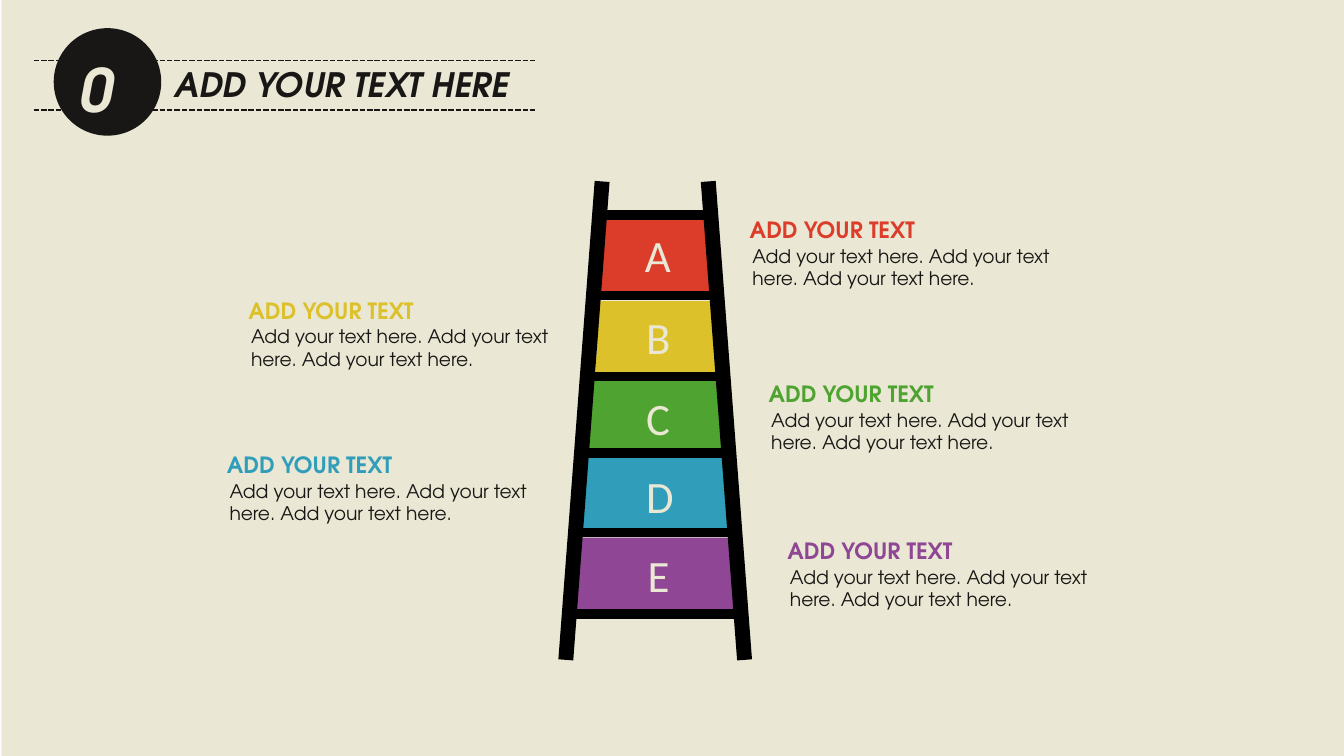
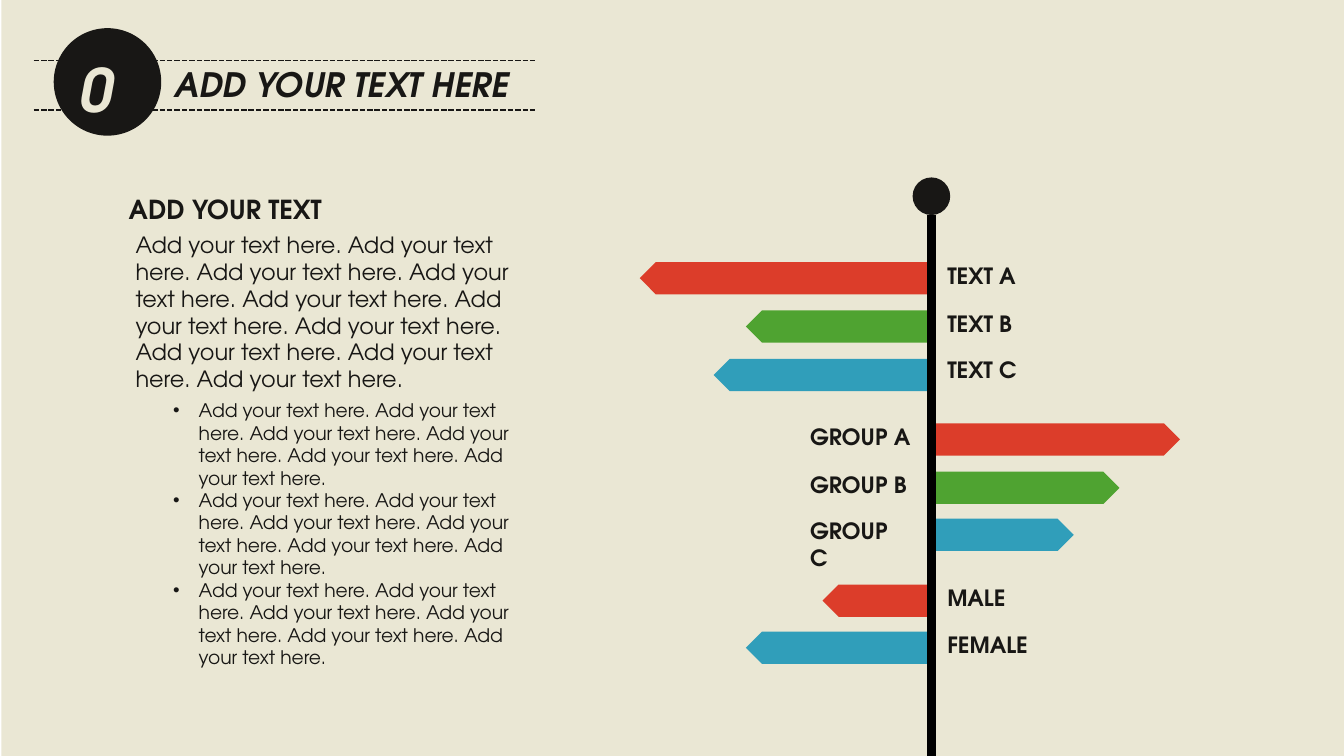
"""Build two infographic slides: a lettered ladder and a signpost of bars."""
from lxml.etree import SubElement
from pptx import Presentation
from pptx.dml.color import RGBColor
from pptx.enum.dml import MSO_LINE
from pptx.enum.shapes import MSO_CONNECTOR, MSO_SHAPE
from pptx.enum.text import MSO_ANCHOR, MSO_AUTO_SIZE, PP_ALIGN
from pptx.oxml.ns import qn
from pptx.util import Inches, Pt

WIDTH = 10
HEIGHT = WIDTH * 9 / 16
SENTENCE = "Add your text here."
HEADING = "ADD YOUR TEXT"

THEME = {
    "colors": {
        "paper": "EAE7D4", "ink": "181715", "black": "000000",
        "red": "DC3D2A", "yellow": "DCC12A", "green": "4FA331",
        "blue": "309EBA", "purple": "8F4695",
    },
    "styles": {
        "number": {"name": "TeX Gyre Adventor", "size": Pt(32), "bold": True, "italic": True},
        "title": {"name": "TeX Gyre Adventor", "size": Pt(18), "bold": True, "italic": True},
        "section": {"name": "TeX Gyre Adventor", "size": Pt(14), "bold": True},
        "label": {"name": "TeX Gyre Adventor", "size": Pt(12), "bold": True},
        "lead": {"name": "TeX Gyre Adventor", "size": Pt(12)},
        "body": {"name": "TeX Gyre Adventor", "size": Pt(10)},
        "letter": {"name": "Calibri", "size": Pt(24)},
    },
    "lines": {"rule": 1, "rung": 5, "rail": 8},
}

TITLE = {"number": "01", "text": "ADD YOUR TEXT HERE"}

# letter, colour, panel (bottom left, bottom right, top, bottom), letter place, heading place
STEPS = [
    ("A", "red", (4.44, 5.31, 1.63, 2.21), (4.7, 1.73), (5.48, 1.56)),
    ("B", "yellow", (4.43, 5.35, 2.24, 2.78), (4.71, 2.34), (1.75, 2.16)),
    ("C", "green", (4.38, 5.41, 2.82, 3.35), (4.71, 2.94), (5.62, 2.78)),
    ("D", "blue", (4.33, 5.42, 3.41, 3.94), (4.71, 3.52), (1.59, 3.31)),
    ("E", "purple", (4.29, 5.46, 4, 4.54), (4.72, 4.11), (5.76, 3.95)),
]
PANEL_SLANT = 0.03
RAILS = [(4.48, 4.21), (5.27, 5.54)]
RAIL_TOP, RAIL_BOTTOM = 1.35, 4.91
RUNGS = [(4.45, 5.32, 1.6), (4.4, 5.34, 2.2), (4.42, 5.38, 2.8),
         (4.33, 5.43, 3.37), (4.33, 5.48, 3.96), (4.26, 5.51, 4.57)]

# label, colour, direction, length, bar top, label top, label width
BARS = [
    ("TEXT A", "red", -1, 2.17, 1.95, 1.9, 0.75),
    ("TEXT B", "green", -1, 1.38, 2.31, 2.26, 0.75),
    ("TEXT C", "blue", -1, 1.62, 2.67, 2.6, 0.74),
    ("GROUP A", "red", 1, 1.85, 3.15, 3.1, 0.96),
    ("GROUP B", "green", 1, 1.4, 3.51, 3.46, 0.96),
    ("GROUP C", "blue", 1, 1.06, 3.86, 3.8, 0.94),
    ("MALE", "red", -1, 0.81, 4.35, 4.3, 0.66),
    ("FEMALE", "blue", -1, 1.38, 4.7, 4.65, 0.84),
]
POLE_X, BAR_HEIGHT, BAR_TIP = 6.93, 0.24, 0.12
LABEL_LEFT = {-1: 6.95, 1: 5.93}


def color(name):
    return RGBColor.from_string(THEME["colors"][name])


def paint(shape, name):
    shape.shadow.inherit = False
    shape.fill.solid()
    shape.fill.fore_color.rgb = color(name)
    shape.line.fill.background()


def add_preset(slide, kind, box, name):
    paint(slide.shapes.add_shape(kind, *map(Inches, box)), name)


def add_outline(slide, points, name):
    start, *rest = [(Inches(x), Inches(y)) for x, y in points]
    builder = slide.shapes.build_freeform(*start, scale=1.0)
    builder.add_line_segments(rest, close=True)
    paint(builder.convert_to_shape(), name)


def add_line(slide, start, end, weight, name="black", dash=None):
    connector = slide.shapes.add_connector(
        MSO_CONNECTOR.STRAIGHT, *map(Inches, (*start, *end)))
    connector.line.color.rgb = color(name)
    connector.line.width = Pt(THEME["lines"][weight])
    if dash:
        connector.line.dash_style = dash
    SubElement(connector._element.spPr, qn("a:effectLst"))


def add_bullet(paragraph):
    properties = paragraph._p.get_or_add_pPr()
    indent = Inches(0.19)
    properties.set("marL", str(indent))
    properties.set("indent", str(-indent))
    bullet_color = SubElement(properties, qn("a:buClr"))
    SubElement(bullet_color, qn("a:srgbClr"), val=THEME["colors"]["ink"])
    SubElement(properties, qn("a:buFont"), typeface="Arial")
    SubElement(properties, qn("a:buChar"), char="•")


def add_text(slide, box, texts, style, name="ink", bullets=False, centered=False):
    frame = slide.shapes.add_textbox(*map(Inches, box)).text_frame
    frame.word_wrap = True
    frame.auto_size = MSO_AUTO_SIZE.NONE if centered else MSO_AUTO_SIZE.SHAPE_TO_FIT_TEXT
    frame.vertical_anchor = MSO_ANCHOR.MIDDLE if centered else MSO_ANCHOR.TOP
    frame.text = "\n".join(texts)
    for paragraph in frame.paragraphs:
        if bullets:
            add_bullet(paragraph)
        paragraph.alignment = PP_ALIGN.CENTER if centered else PP_ALIGN.LEFT
        font = paragraph.runs[0].font
        for attribute, value in THEME["styles"][style].items():
            setattr(font, attribute, value)
        font.color.rgb = color(name)


def repeat(count):
    return " ".join([SENTENCE] * count)


def add_base(presentation):
    slide = presentation.slides.add_slide(presentation.slide_layouts[6])
    add_preset(slide, MSO_SHAPE.RECTANGLE, (0.01, 0, WIDTH - 0.01, HEIGHT), "paper")
    for y in (0.45, 0.82):
        add_line(slide, (0.25, y), (3.98, y), "rule", "ink", MSO_LINE.SQUARE_DOT)
    add_preset(slide, MSO_SHAPE.OVAL, (0.4, 0.21, 0.8, 0.8), "ink")
    add_text(slide, (1.2, 0.43, 2.7, 0.4), [TITLE["text"]], "title")
    add_text(slide, (0.49, 0.34, 0.69, 0.64), [TITLE["number"]], "number", "paper")
    return slide


def build_ladder(presentation):
    slide = add_base(presentation)
    for _, name, (left, right, top, bottom), _, _ in STEPS:
        add_outline(slide, [(left, bottom), (left + PANEL_SLANT, top),
                            (right - PANEL_SLANT, top), (right, bottom)], name)
    for top_x, bottom_x in RAILS:
        add_line(slide, (top_x, RAIL_TOP), (bottom_x, RAIL_BOTTOM), "rail")
    for left, right, y in RUNGS:
        add_line(slide, (left, y), (right, y), "rung")
    for letter, name, _, place, (x, y) in STEPS:
        add_text(slide, (*place, 0.34, 0.33), [letter], "letter", "paper", centered=True)
        add_text(slide, (x, y, 1.52, 0.3), [HEADING], "label", name)
        add_text(slide, (x + 0.02, y + 0.21, 2.5, 0.44), [repeat(3)], "body")


def build_signpost(presentation):
    slide = add_base(presentation)
    add_text(slide, (0.91, 1.67, 3.22, 1.3), [repeat(10)], "lead")
    add_text(slide, (0.86, 1.39, 1.74, 0.34), [HEADING], "section")
    add_text(slide, (1.19, 2.92, 2.86, 2.11), [repeat(6)] * 3, "body", bullets=True)
    add_preset(slide, MSO_SHAPE.OVAL, (POLE_X - 0.14, 1.32, 0.28, 0.28), "ink")
    for _, name, direction, length, top, _, _ in BARS:
        tip = POLE_X + direction * length
        shoulder = tip - direction * BAR_TIP
        bottom = top + BAR_HEIGHT
        add_outline(slide, [(POLE_X, top), (shoulder, top), (tip, top + BAR_HEIGHT / 2),
                            (shoulder, bottom), (POLE_X, bottom)], name)
    add_line(slide, (POLE_X, 1.6), (POLE_X, HEIGHT), "rung")
    for label, _, direction, _, _, top, width in BARS:
        add_text(slide, (LABEL_LEFT[direction], top, width, 0.3), [label], "label")


def main():
    presentation = Presentation()
    presentation.slide_width, presentation.slide_height = Inches(WIDTH), Inches(HEIGHT)
    build_ladder(presentation)
    build_signpost(presentation)
    presentation.save("out.pptx")


if __name__ == "__main__":
    main()
